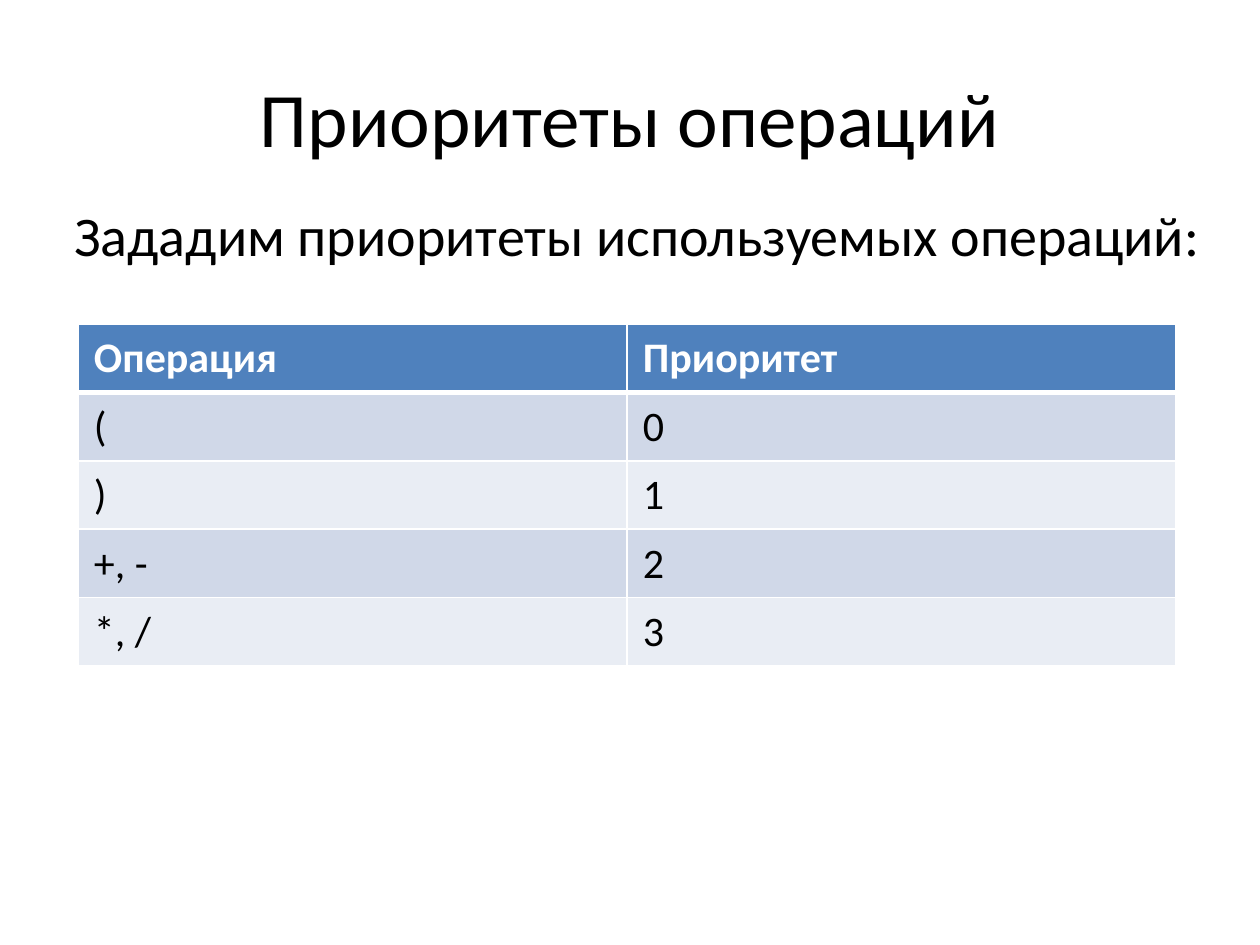
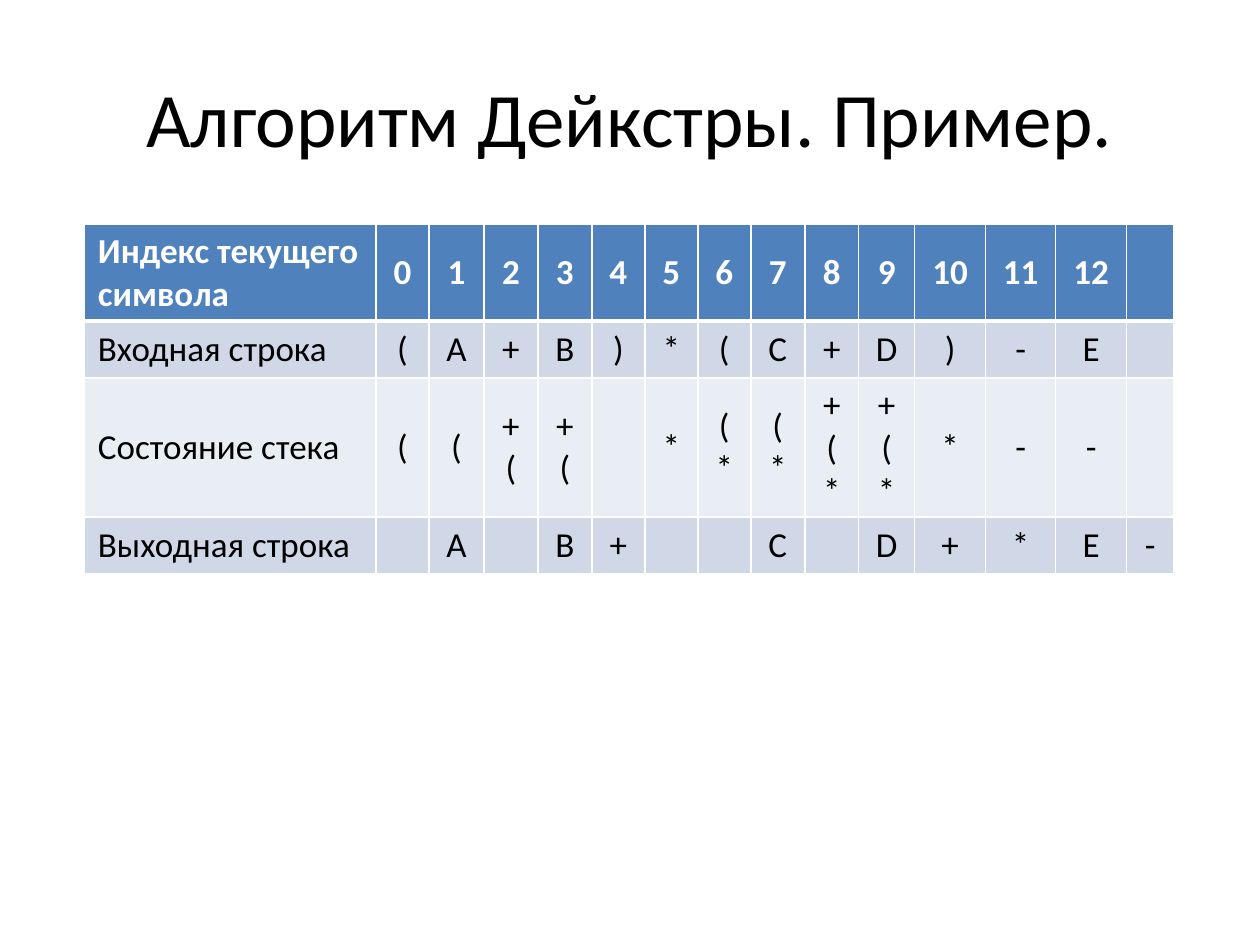
from lxml import etree
from pptx import Presentation
from pptx.dml.color import RGBColor
from pptx.enum.text import MSO_ANCHOR, MSO_AUTO_SIZE, PP_ALIGN
from pptx.oxml.ns import qn
from pptx.util import Emu, Pt

LEFT, CENTER = PP_ALIGN.LEFT, PP_ALIGN.CENTER
TOP, MIDDLE = MSO_ANCHOR.TOP, MSO_ANCHOR.MIDDLE
FIT_SHAPE = MSO_AUTO_SIZE.SHAPE_TO_FIT_TEXT

FONT = "Calibri"
BLACK, WHITE = "000000", "FFFFFF"
HEADER, BANDS = "4F81BD", ("D0D8E8", "E9EDF4")
THIN, THICK = 1, 3
TITLE_AREA = (63, 38, 1134, 157)
INTRO_AREA = (62, 194, 1162, 81)

INTRO = "Зададим приоритеты используемых операций:"
PRIORITIES = [
    ("Операция", "Приоритет"),
    ("(", "0"),
    (")", "1"),
    ("+, -", "2"),
    ("*, /", "3"),
]
STEPS = [
    ("Индекс текущего\nсимвола", *map(str, range(13)), ""),
    ("Входная строка", *"(A+B)*(C+D)-E", ""),
    ("Состояние стека", "(", "(", "+\n(", "+\n(", "", "*", "(\n*", "(\n*",
     "+\n(\n*", "+\n(\n*", "*", "-", "-", ""),
    ("Выходная строка", "", "A", "", "B", "+", "", "", "C", "", "D", "+", "*", "E", "-"),
]
SLIDES = [
    dict(title="Приоритеты операций", intro=INTRO, table=dict(
        rows=PRIORITIES, origin=(78, 324), widths=[549] * 2, heights=[67] * 5,
        size=24, insets=(16, 9), anchor=TOP, value_align=LEFT)),
    dict(title="Алгоритм Дейкстры. Пример.", table=dict(
        rows=STEPS, origin=(84, 224),
        widths=[292, 53, 55, 54, 54, 53, 53, 53, 54, 54, 56, 71, 70, 71, 47],
        heights=[97, 57, 139, 57],
        size=20, insets=(14, 6), anchor=MIDDLE, value_align=CENTER)),
]


def px(length):
    return Emu(round(length * 914400 / 126))


def color(value):
    return RGBColor.from_string(value)


def write(frame, text, size, ink=BLACK, bold=False, align=LEFT):
    for index, line in enumerate(text.split("\n")):
        paragraph = frame.add_paragraph() if index else frame.paragraphs[0]
        paragraph.alignment = align
        if line:
            run = paragraph.add_run()
            run.text = line
            font = run.font
            font.name, font.size, font.bold = FONT, Pt(size), bold
            font.color.rgb = color(ink)


def add_text(slide, area, text, anchor=TOP, wrap=True, **text_format):
    frame = slide.shapes.add_textbox(*map(px, area)).text_frame
    frame.word_wrap = wrap
    frame.vertical_anchor = anchor
    if not wrap:
        frame.auto_size = FIT_SHAPE
    write(frame, text, **text_format)


def draw_borders(cell, row):
    properties = cell._tc.get_or_add_tcPr()
    widths = {
        "a:lnL": THIN,
        "a:lnR": THIN,
        "a:lnT": THICK if row == 1 else THIN,
        "a:lnB": THICK if row == 0 else THIN,
    }
    for side, width in widths.items():
        line = etree.SubElement(properties, qn(side), w=str(Pt(width)))
        fill = etree.SubElement(line, qn("a:solidFill"))
        etree.SubElement(fill, qn("a:srgbClr"), val=WHITE)


def add_grid(slide, rows, origin, widths, heights, size, insets, anchor, value_align):
    area = (*origin, sum(widths), sum(heights))
    grid = slide.shapes.add_table(len(rows), len(widths), *map(px, area)).table
    grid.horz_banding = False
    for column, width in zip(grid.columns, widths):
        column.width = px(width)
    for grid_row, height in zip(grid.rows, heights):
        grid_row.height = px(height)
    side_inset, end_inset = map(px, insets)
    for r, values in enumerate(rows):
        is_header = r == 0
        for c, value in enumerate(values):
            cell = grid.cell(r, c)
            cell.margin_left = cell.margin_right = side_inset
            cell.margin_top = cell.margin_bottom = end_inset
            cell.vertical_anchor = anchor
            draw_borders(cell, r)
            cell.fill.solid()
            cell.fill.fore_color.rgb = color(HEADER if is_header else BANDS[(r - 1) % 2])
            write(cell.text_frame, value, size, ink=WHITE if is_header else BLACK,
                  bold=is_header, align=value_align if c else LEFT)


def main():
    deck = Presentation()
    deck.slide_width, deck.slide_height = px(1260), px(945)
    for content in SLIDES:
        slide = deck.slides.add_slide(deck.slide_layouts[6])
        add_text(slide, TITLE_AREA, content["title"], anchor=MIDDLE, size=44, align=CENTER)
        add_grid(slide, **content["table"])
        if "intro" in content:
            add_text(slide, INTRO_AREA, content["intro"], wrap=False, size=32)
    deck.save("out.pptx")


if __name__ == "__main__":
    main()
